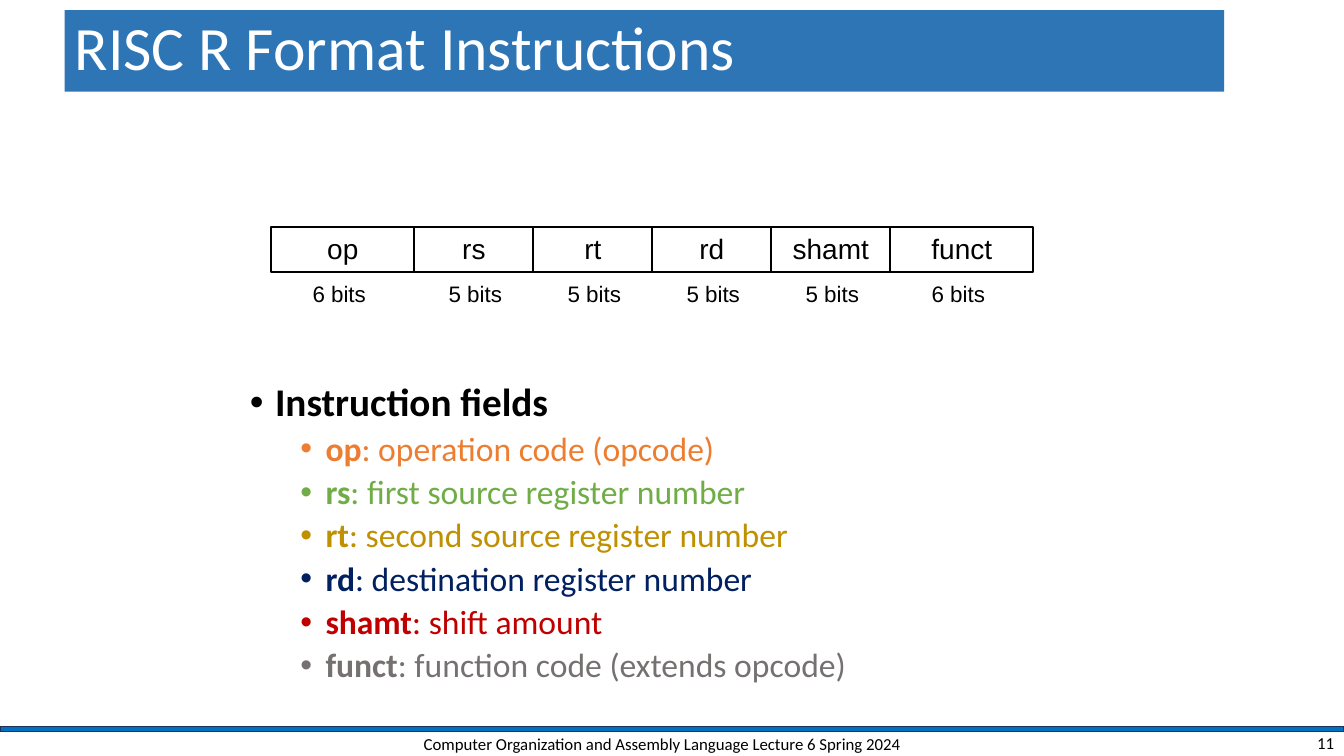
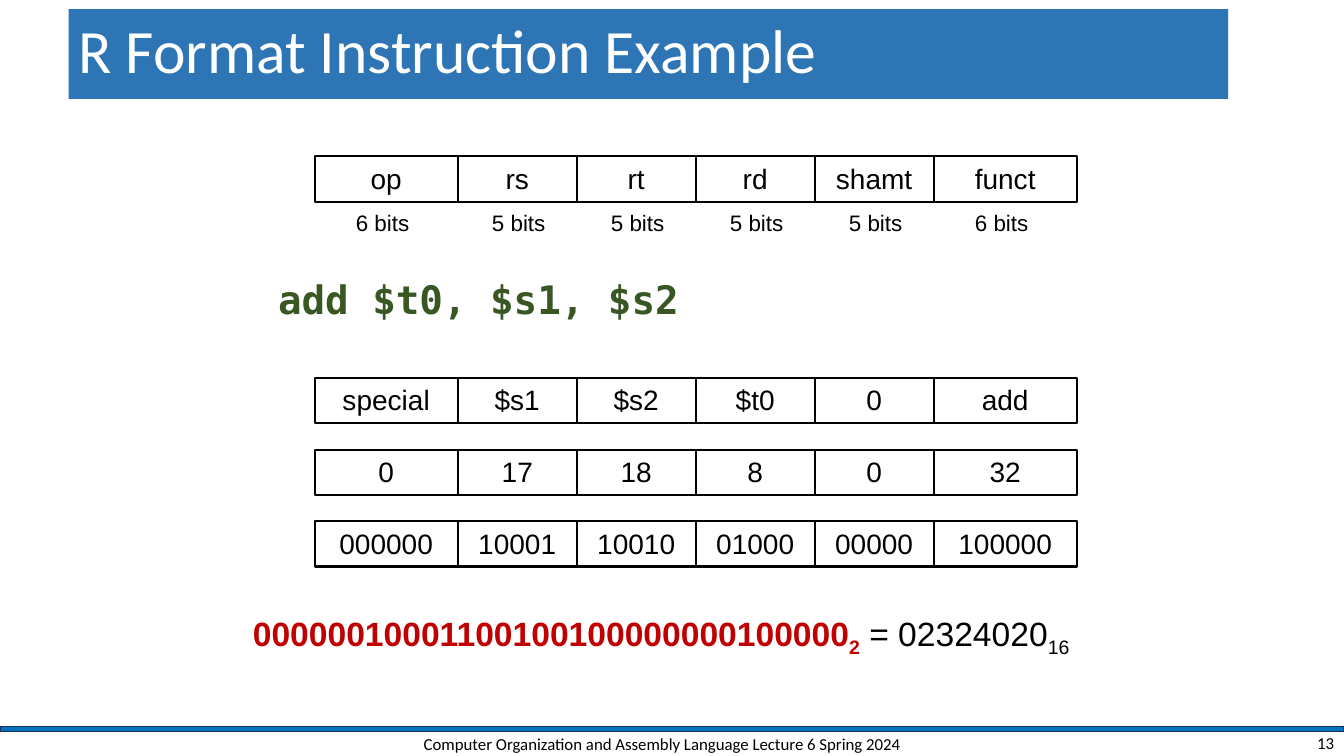
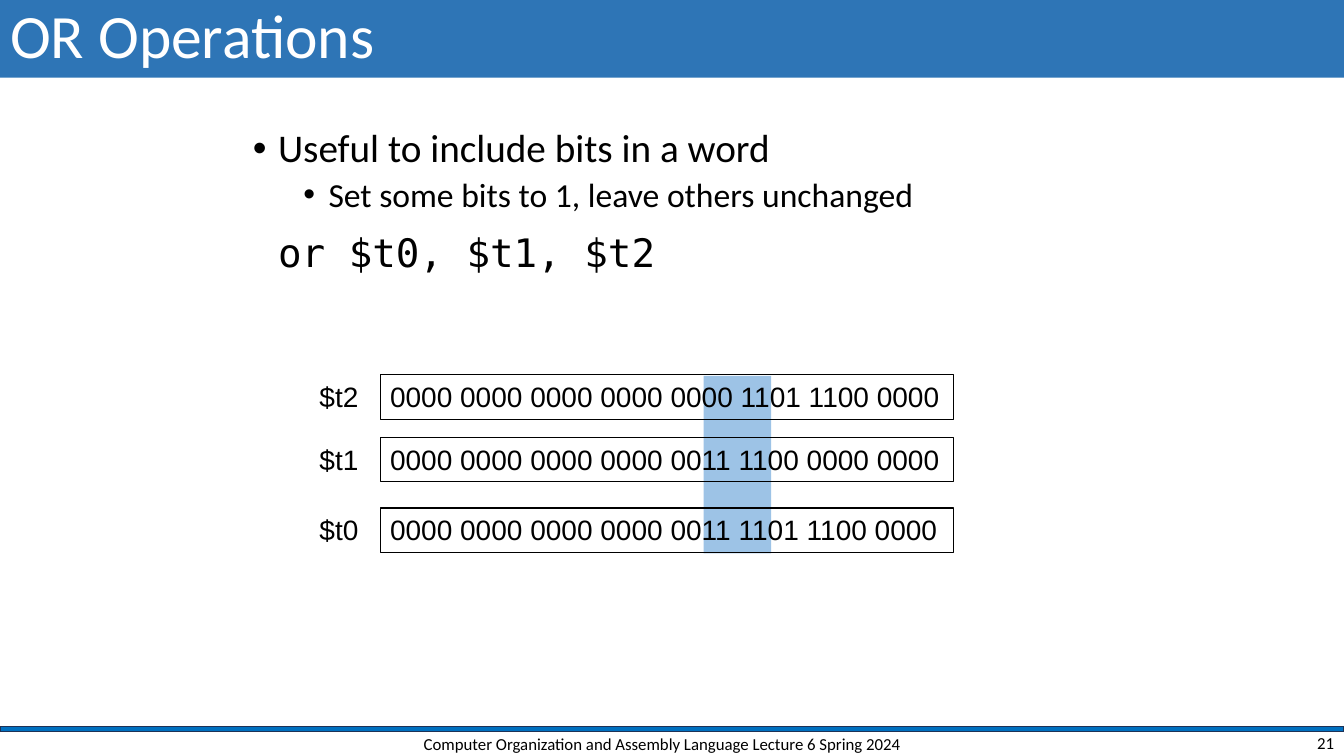
import pptx
import pptx.util
import pptx.dml.color
import pptx.enum.shapes
import pptx.enum.text
import pptx.oxml.ns
import lxml.etree

RGB = pptx.dml.color.RGBColor
ALIGN = pptx.enum.text.PP_ALIGN
ANCHOR = pptx.enum.text.MSO_ANCHOR
Pt = pptx.util.Pt

PX = 9144  # 100 px to the inch

BLACK = RGB(0x00, 0x00, 0x00)
WHITE = RGB(0xFF, 0xFF, 0xFF)
TITLE_BLUE = RGB(0x2E, 0x75, 0xB6)
RULE_BLUE = RGB(0x00, 0x70, 0xC0)
RULE_EDGE = RGB(0x1E, 0x32, 0x56)
LIGHT_BLUE = RGB(0x9D, 0xC3, 0xE6)
ORANGE = RGB(0xED, 0x7D, 0x31)
GREEN = RGB(0x70, 0xAD, 0x47)
DARK_GREEN = RGB(0x38, 0x57, 0x23)
GOLD = RGB(0xBF, 0x90, 0x00)
NAVY = RGB(0x00, 0x20, 0x60)
RED = RGB(0xC0, 0x00, 0x00)
GREY = RGB(0x76, 0x71, 0x71)

SANS, HEADING, MONO = "Arial", "Calibri", "DejaVu Sans Mono"

FOOTER = "Computer Organization and Assembly Language Lecture 6 Spring 2024"

# name, width, bits, indent of the bits label
FIELDS = [
    ("op", 142, "6 bits", 31),
    ("rs", 118, "5 bits", 24),
    ("rt", 118, "5 bits", 24),
    ("rd", 118, "5 bits", 24),
    ("shamt", 118, "5 bits", 24),
    ("funct", 142, "6 bits", 31),
]
FIELD_MEANINGS = [
    ("op", ": operation code (opcode)", ORANGE),
    ("rs", ": first source register number", GREEN),
    ("rt", ": second source register number", GOLD),
    ("rd", ": destination register number", NAVY),
    ("shamt", ": shift amount", RED),
    ("funct", ": function code (extends opcode)", GREY),
]
ENCODINGS = [
    ["special", "$s1", "$s2", "$t0", "0", "add"],
    ["0", "17", "18", "8", "0", "32"],
    ["000000", "10001", "10010", "01000", "00000", "100000"],
]
REGISTERS = [
    ("$t2", "0000 0000 0000 0000 0000 1101 1100 0000", 372),
    ("$t1", "0000 0000 0000 0000 0011 1100 0000 0000", 434),
    ("$t0", "0000 0000 0000 0000 0011 1101 1100 0000", 504),
]


def box(left, top, width, height):
    return [length * PX for length in (left, top, width, height)]


def add_run(paragraph, text, size, font=SANS, color=BLACK, bold=False, subscript=False):
    run = paragraph.add_run()
    run.text = text
    run.font.size = Pt(size)
    run.font.name = font
    run.font.color.rgb = color
    run.font.bold = bold
    if subscript:
        run._r.get_or_add_rPr().set("baseline", "-25000")


def add_rect(slide, place, fill=None, line=None, line_width=1.5):
    rect = slide.shapes.add_shape(pptx.enum.shapes.MSO_SHAPE.RECTANGLE, *box(*place))
    rect.shadow.inherit = False
    if fill is None:
        rect.fill.background()
    else:
        rect.fill.solid()
        rect.fill.fore_color.rgb = fill
    if line is None:
        rect.line.fill.background()
    else:
        rect.line.color.rgb = line
        rect.line.width = Pt(line_width)
    return rect


def add_text_frame(slide, place):
    frame = slide.shapes.add_textbox(*box(*place)).text_frame
    frame.word_wrap = True
    return frame


def write_line(frame, text, size, align=ALIGN.LEFT, anchor=ANCHOR.TOP, wrap=True, font=SANS):
    frame.word_wrap = wrap
    frame.vertical_anchor = anchor
    paragraph = frame.paragraphs[0]
    paragraph.alignment = align
    add_run(paragraph, text, size, font)


def body_paragraph(frame, level=0, bullet=True, space_before=0):
    """Return the next paragraph of a body text, indented for its level."""
    first = frame.paragraphs[0]
    paragraph = frame.add_paragraph() if first.runs else first
    properties = paragraph._p.get_or_add_pPr()
    properties.set("marL", str((25 + 50 * level) * PX))
    properties.set("indent", str(-25 * PX if bullet else 0))
    if bullet:
        for tag, key, value in (("a:buFont", "typeface", SANS), ("a:buChar", "char", "•")):
            mark = lxml.etree.SubElement(properties, pptx.oxml.ns.qn(tag))
            mark.set(key, value)
    paragraph.level = level
    paragraph.line_spacing = 0.9
    paragraph.space_before = Pt(space_before)
    return paragraph


def add_slide(deck, heading, title_place, number):
    """Add a slide with the shared title band, rule, footer and page number."""
    slide = deck.slides.add_slide(deck.slide_layouts[5])
    add_rect(slide, (0, 721, 1333, 5), RULE_BLUE, RULE_EDGE, 1)

    title = slide.shapes.title
    title.left, title.top, title.width, title.height = box(*title_place)
    title.fill.solid()
    title.fill.fore_color.rgb = TITLE_BLUE
    frame = title.text_frame
    frame.auto_size = pptx.enum.text.MSO_AUTO_SIZE.NONE
    frame.vertical_anchor = ANCHOR.MIDDLE
    paragraph = frame.paragraphs[0]
    paragraph.alignment = ALIGN.LEFT
    paragraph.line_spacing = 0.9
    add_run(paragraph, heading, 44, HEADING, WHITE)

    for text, place, align in ((FOOTER, (392, 724, 530, 28), ALIGN.CENTER),
                               (number, (1033, 724, 300, 25), ALIGN.RIGHT)):
        write_line(add_text_frame(slide, place), text, 12, align, ANCHOR.MIDDLE, font=HEADING)
    return slide


def add_field_row(slide, left, top, values):
    for value, (_, width, _, _) in zip(values, FIELDS):
        cell = add_rect(slide, (left, top, width, 45), line=BLACK)
        write_line(cell.text_frame, value, 20, ALIGN.CENTER)
        left += width


def add_format_diagram(slide, left, top):
    """Draw the named instruction fields with their bit counts below."""
    add_field_row(slide, left, top, [field[0] for field in FIELDS])
    for _, width, bits, indent in FIELDS:
        frame = add_text_frame(slide, (left + indent, top + 48, 73, 37))
        write_line(frame, bits, 16, ALIGN.CENTER, wrap=False)
        left += width


def build_format_slide(deck):
    slide = add_slide(deck, "RISC R Format Instructions", (64, 10, 1150, 81), "11")
    add_format_diagram(slide, 269, 225)
    body = add_text_frame(slide, (238, 375, 905, 358))
    add_run(body_paragraph(body), "Instruction fields", 28, HEADING, bold=True)
    for name, meaning, color in FIELD_MEANINGS:
        paragraph = body_paragraph(body, level=1, space_before=5)
        add_run(paragraph, name, 24, HEADING, color, bold=True)
        add_run(paragraph, meaning, 24, HEADING, color)


def build_example_slide(deck):
    slide = add_slide(deck, "R Format Instruction Example", (68, 9, 1150, 89), "13")
    add_format_diagram(slide, 312, 155)
    code = body_paragraph(add_text_frame(slide, (241, 273, 905, 71)), bullet=False)
    add_run(code, "add $t0, $s1, $s2", 28, MONO, DARK_GREEN, bold=True)
    for row, values in enumerate(ENCODINGS):
        add_field_row(slide, 312, 375 + 71 * row, values)
    word = add_text_frame(slide, (241, 603, 890, 55)).paragraphs[0]
    add_run(word, "00000010001100100100000000100000", 24, color=RED, bold=True)
    add_run(word, "2", 24, color=RED, bold=True, subscript=True)
    add_run(word, " = 02324020", 24)
    add_run(word, "16", 24, subscript=True)


def build_or_slide(deck):
    slide = add_slide(deck, "OR Operations", (0, 0, 1333, 77), "21")
    add_rect(slide, (698, 373, 67, 176), LIGHT_BLUE)
    body = add_text_frame(slide, (241, 123, 905, 227))
    add_run(body_paragraph(body), "Useful to include bits in a word", 28, HEADING)
    add_run(body_paragraph(body, level=1, space_before=5),
            "Set some bits to 1, leave others unchanged", 24, HEADING)
    add_run(body_paragraph(body, bullet=False, space_before=14), "or $t0, $t1, $t2", 28, MONO)
    for register, bits, top in REGISTERS:
        content = add_rect(slide, (377, top, 569, 44), line=BLACK, line_width=0.75)
        write_line(content.text_frame, bits, 20, wrap=False)
        write_line(add_text_frame(slide, (307, top, 59, 43)), register, 20, wrap=False)


def main():
    deck = pptx.Presentation()
    deck.slide_width, deck.slide_height = 1333 * PX, 750 * PX
    build_format_slide(deck)
    build_example_slide(deck)
    build_or_slide(deck)
    deck.save("out.pptx")


if __name__ == "__main__":
    main()
